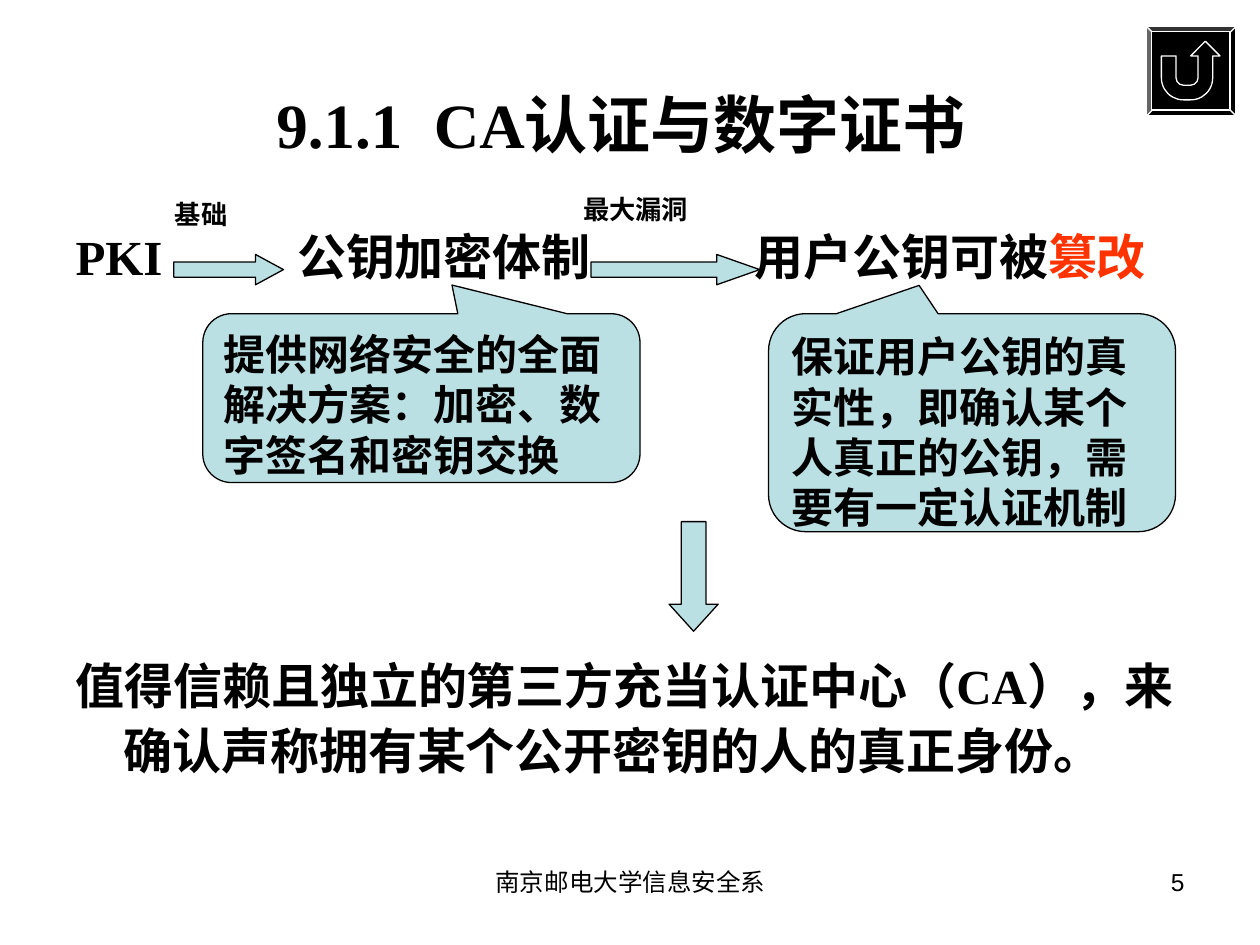
from dataclasses import dataclass

from lxml import etree
from pptx import Presentation
from pptx.dml.color import RGBColor
from pptx.enum.shapes import MSO_SHAPE
from pptx.enum.text import MSO_ANCHOR, MSO_AUTO_SIZE, PP_ALIGN
from pptx.oxml.ns import qn
from pptx.util import Inches, Pt

BLACK = RGBColor(0x00, 0x00, 0x00)
WHITE = RGBColor(0xFF, 0xFF, 0xFF)
PALE_TEAL = RGBColor(0xBB, 0xE0, 0xE3)
ORANGE_RED = RGBColor(0xFF, 0x33, 0x00)
SANS = "Arial"
SERIF = "Times New Roman"
LEFT, CENTER, RIGHT = PP_ALIGN.LEFT, PP_ALIGN.CENTER, PP_ALIGN.RIGHT
RIGHT_ARROW, DOWN_ARROW = MSO_SHAPE.RIGHT_ARROW, MSO_SHAPE.DOWN_ARROW
CALLOUT = MSO_SHAPE.ROUNDED_RECTANGULAR_CALLOUT
BEVEL, RETURN_BUTTON = MSO_SHAPE.BEVEL, MSO_SHAPE.ACTION_BUTTON_RETURN
TOP, MIDDLE = MSO_ANCHOR.TOP, MSO_ANCHOR.MIDDLE
NO_AUTOFIT = MSO_AUTO_SIZE.NONE

Box = tuple[float, float, float, float]


@dataclass
class Figure:
    kind: MSO_SHAPE
    box: Box
    adjustments: tuple[float, ...] = ()
    text: str = ""
    fill: RGBColor = PALE_TEAL
    line: RGBColor = BLACK


@dataclass
class Label:
    text: str
    box: Box
    size: float
    font: str = SANS
    bold: bool = False
    alignment: PP_ALIGN = LEFT
    line_spacing: float = 1.0
    highlight: str = ""


FIGURES = [
    Figure(BEVEL, (9.1, 0.21, 0.71, 0.71), (0.06,), fill=BLACK, line=WHITE),
    Figure(RETURN_BUTTON, (9.14, 0.25, 0.62, 0.62), fill=BLACK, line=WHITE),
    Figure(RIGHT_ARROW, (1.38, 2.02, 0.87, 0.24), (0.5, 0.92)),
    Figure(RIGHT_ARROW, (4.69, 2.02, 1.34, 0.24), (0.5, 1.42)),
    Figure(CALLOUT, (1.61, 2.49, 3.47, 1.34), (0.07, -0.67, 0.17),
           "提供网络安全的全面解决方案：加密、数字签名和密钥交换"),
    Figure(CALLOUT, (6.1, 2.49, 3.23, 1.73), (-0.13, -0.63, 0.17),
           "保证用户公钥的真实性，即确认某个人真正的公钥，需要有一定认证机制"),
    Figure(DOWN_ARROW, (5.31, 4.14, 0.39, 0.87), (0.5, 0.55)),
]

LABELS = [
    Label("公钥加密体制", (2.26, 1.75, 2.6, 0.61), 28, SERIF, True),
    Label("用户公钥可被", (5.89, 1.75, 3.4, 0.61), 28, SANS, True, highlight="篡改"),
    Label("基础", (1.29, 1.57, 0.88, 0.43), 15, SERIF, True, line_spacing=0.8),
    Label("最大漏洞", (4.53, 1.53, 1.57, 0.43), 15, SERIF, True, line_spacing=0.8),
    Label("南京邮电大学信息安全系", (3.42, 6.83, 3.17, 0.52), 14, alignment=CENTER),
    Label("5", (7.17, 6.83, 2.33, 0.52), 14, alignment=RIGHT),
]

TITLE = "9.1.1  CA认证与数字证书"
CHAIN_START = "PKI"
CONCLUSION = "值得信赖且独立的第三方充当认证中心（CA），来确认声称拥有某个公开密钥的人的真正身份。"
CONCLUSION_GAP = 208


def format_run(run, size: float, font: str, bold: bool, color: RGBColor = BLACK) -> None:
    run.font.size = Pt(size)
    run.font.name = font
    run.font.bold = bold
    run.font.color.rgb = color


def place(shape, box: Box) -> None:
    shape.left, shape.top, shape.width, shape.height = map(Inches, box)


def set_hanging_indent(paragraph) -> None:
    """Hang the first line without a bullet."""
    properties = paragraph._p.get_or_add_pPr()
    properties.set("marL", str(Inches(0.38)))
    properties.set("indent", str(-Inches(0.38)))
    etree.SubElement(properties, qn("a:buNone"))


def add_figure(slide, figure: Figure) -> None:
    shape = slide.shapes.add_shape(figure.kind, *map(Inches, figure.box))
    for index, value in enumerate(figure.adjustments):
        shape.adjustments[index] = value
    shape.shadow.inherit = False
    shape.fill.solid()
    shape.fill.fore_color.rgb = figure.fill
    shape.line.color.rgb = figure.line
    shape.line.width = Pt(0.75)
    if figure.text:
        text_frame = shape.text_frame
        text_frame.text = figure.text
        text_frame.vertical_anchor = TOP
        text_frame.paragraphs[0].alignment = LEFT
        format_run(text_frame.paragraphs[0].runs[0], 24, SANS, True)


def add_label(slide, label: Label) -> None:
    text_frame = slide.shapes.add_textbox(*map(Inches, label.box)).text_frame
    text_frame.word_wrap = True
    text_frame.text = label.text
    paragraph = text_frame.paragraphs[0]
    paragraph.alignment = label.alignment
    paragraph.line_spacing = label.line_spacing
    format_run(paragraph.runs[0], label.size, label.font, label.bold)
    if label.highlight:
        run = paragraph.add_run()
        run.text = label.highlight
        format_run(run, label.size, label.font, label.bold, ORANGE_RED)


def fill_title(title) -> None:
    place(title, (0.43, 0.35, 9, 1.25))
    title.text_frame.text = TITLE
    title.text_frame.auto_size = NO_AUTOFIT
    title.text_frame.vertical_anchor = MIDDLE
    paragraph = title.text_frame.paragraphs[0]
    paragraph.alignment = CENTER
    format_run(paragraph.runs[0], 36, SERIF, True)


def fill_body(body) -> None:
    place(body, (0.5, 1.75, 9, 4.95))
    text_frame = body.text_frame
    text_frame.auto_size = NO_AUTOFIT
    chain_start = text_frame.paragraphs[0]
    chain_start.text = CHAIN_START
    chain_start.space_before = Pt(7)
    conclusion = text_frame.add_paragraph()
    conclusion.text = CONCLUSION
    conclusion.line_spacing = 1.1
    conclusion.space_before = Pt(CONCLUSION_GAP)
    for paragraph in text_frame.paragraphs:
        set_hanging_indent(paragraph)
        format_run(paragraph.runs[0], 28, SERIF, True)


def main() -> None:
    presentation = Presentation()
    presentation.slide_width = Inches(10)
    presentation.slide_height = Inches(7.5)
    slide = presentation.slides.add_slide(presentation.slide_layouts[1])
    fill_title(slide.shapes.title)
    fill_body(slide.placeholders[1])
    for figure in FIGURES:
        add_figure(slide, figure)
    for label in LABELS:
        add_label(slide, label)
    presentation.save("out.pptx")


if __name__ == "__main__":
    main()
